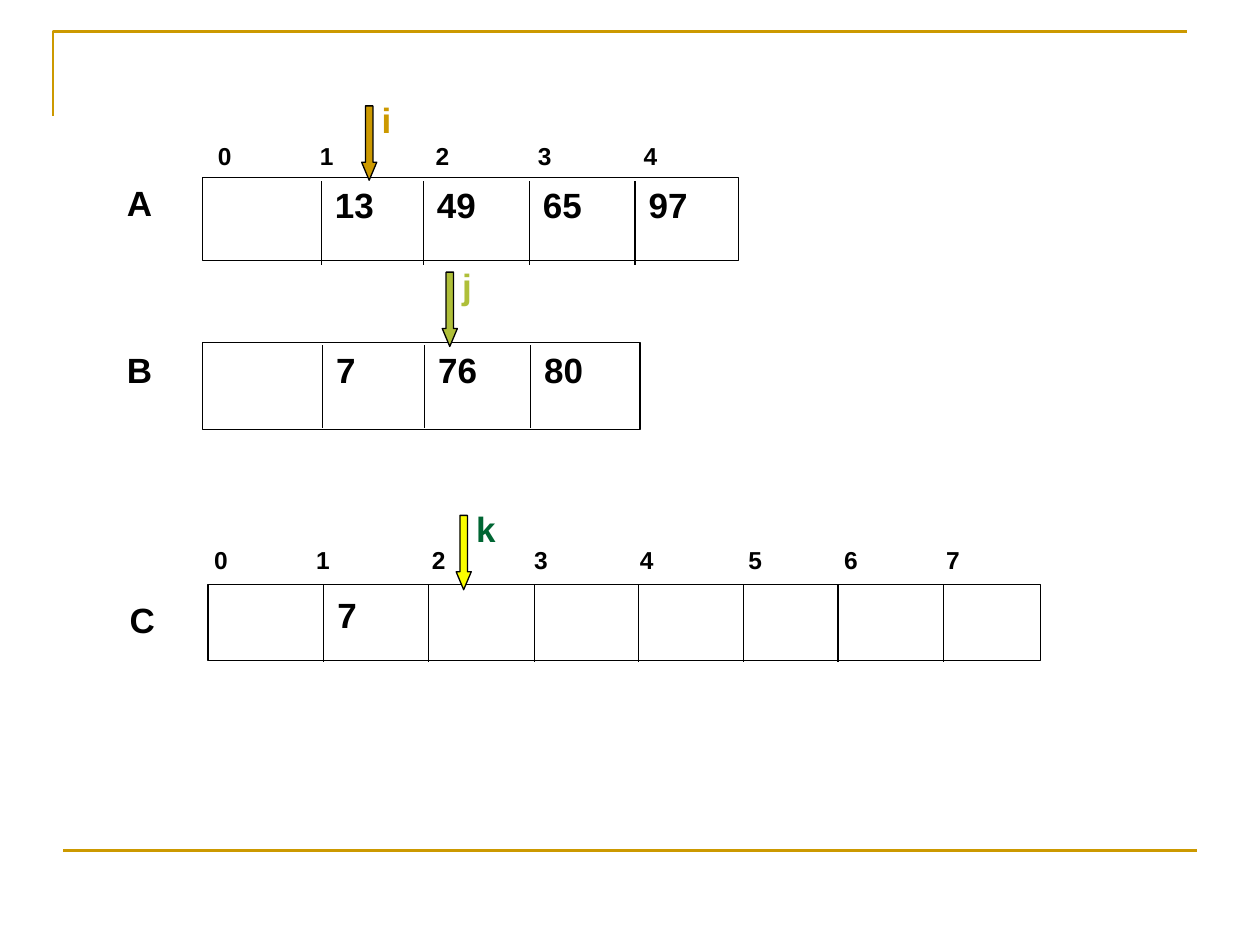
from dataclasses import dataclass

from lxml.etree import SubElement
from pptx import Presentation
from pptx.dml.color import RGBColor
from pptx.enum.shapes import MSO_CONNECTOR, MSO_SHAPE
from pptx.enum.text import MSO_AUTO_SIZE, PP_ALIGN
from pptx.oxml.ns import qn
from pptx.util import Inches, Pt


@dataclass(frozen=True)
class Theme:
    font: str = "Arial"
    ink: str = "000000"
    paper: str = "FFFFFF"
    gold: str = "CC9900"
    olive: str = "AFBF39"
    yellow: str = "FAFD00"
    green: str = "006633"
    label_size: float = 20
    index_size: float = 14
    cell_line: float = 0.75
    frame_line: float = 1.5


THEME = Theme()
ARRAYS = [
    dict(name="A", name_at=(0.91, 1.39), box=(1.61, 1.41, 4.25, 0.66),
         dividers=[2.55, 3.36, 4.2, 5.04], divider_span=(1.44, 2.1),
         values=["13", "49", "65", "97"], value_top=1.41,
         index_at=(1.63, 1.07), index_count=5),
    dict(name="B", name_at=(0.91, 2.72), box=(1.61, 2.72, 3.47, 0.69),
         dividers=[2.56, 3.37, 4.21], divider_span=(2.74, 3.4),
         values=["7", "76", "80"], value_top=2.72,
         index_at=None, index_count=0),
    dict(name="C", name_at=(0.93, 4.7), box=(1.65, 4.64, 6.61, 0.6),
         dividers=[2.57, 3.4, 4.24, 5.07, 5.9, 6.65, 7.49], divider_span=(4.64, 5.25),
         values=["7"], value_top=4.66,
         index_at=(1.6, 4.28), index_count=8),
]
POINTERS = [
    ("i", 2.87, 0.84, THEME.gold, THEME.gold),
    ("j", 3.51, 2.16, THEME.olive, THEME.olive),
    ("k", 3.62, 4.09, THEME.yellow, THEME.green),
]
INDEX_TABS = [0.81, 1.73, 2.54, 3.38, 4.24, 5.0, 5.81]
FRAME_CORNER = [(0.42, 0.92), (0.42, 0.25), (9.42, 0.25)]
FOOT_RULE = (0.5, 6.75, 9.5, 6.75)


def set_line(shape, color, width):
    shape.line.color.rgb = RGBColor.from_string(color)
    shape.line.width = Pt(width)


def add_line(shapes, ends, color, width):
    line = shapes.add_connector(MSO_CONNECTOR.STRAIGHT, *map(Inches, ends))
    set_line(line, color, width)
    SubElement(line.element.spPr, qn("a:effectLst"))


def add_filled(shapes, kind, place, color):
    shape = shapes.add_shape(kind, *map(Inches, place))
    shape.shadow.inherit = False
    shape.fill.solid()
    shape.fill.fore_color.rgb = RGBColor.from_string(color)
    set_line(shape, THEME.ink, THEME.cell_line)
    return shape


def add_text(shapes, text, place, color=THEME.ink, size=THEME.label_size, tabs=()):
    frame = shapes.add_textbox(*map(Inches, place)).text_frame
    frame.word_wrap = True
    frame.auto_size = MSO_AUTO_SIZE.SHAPE_TO_FIT_TEXT
    para = frame.paragraphs[0]
    para.text = text
    para.alignment = PP_ALIGN.LEFT
    if tabs:
        stops = SubElement(para._p.get_or_add_pPr(), qn("a:tabLst"))
        for stop in tabs:
            SubElement(stops, qn("a:tab"), pos=str(Inches(stop)), algn="l")
    para.font.name = THEME.font
    para.font.size = Pt(size)
    para.font.bold = True
    para.font.color.rgb = RGBColor.from_string(color)


def add_frame(shapes):
    start, *rest = [tuple(map(Inches, point)) for point in FRAME_CORNER]
    builder = shapes.build_freeform(*start)
    builder.add_line_segments(rest, close=False)
    corner = builder.convert_to_shape()
    corner.shadow.inherit = False
    corner.fill.background()
    set_line(corner, THEME.gold, THEME.frame_line)
    add_line(shapes, FOOT_RULE, THEME.gold, THEME.frame_line)


def add_array(shapes, array):
    add_filled(shapes, MSO_SHAPE.RECTANGLE, array["box"], THEME.paper)
    top, bottom = array["divider_span"]
    for x in array["dividers"]:
        add_line(shapes, (x, top, x, bottom), THEME.ink, THEME.cell_line)
    for x, value in zip(array["dividers"], array["values"]):
        add_text(shapes, value, (x + 0.01, array["value_top"], 0.67, 0.44))
    add_text(shapes, array["name"], (*array["name_at"], 0.67, 0.44))
    count = array["index_count"]
    if count:
        add_text(shapes, "\t".join(map(str, range(count))),
                 (*array["index_at"], array["box"][2], 0.34),
                 size=THEME.index_size, tabs=INDEX_TABS[:count - 1])


def add_pointer(shapes, name, left, top, fill, color):
    group = shapes.add_group_shape().shapes
    arrow = add_filled(group, MSO_SHAPE.DOWN_ARROW, (left, top, 0.12, 0.59), fill)
    arrow.adjustments[0] = 0.5
    arrow.adjustments[1] = 1.19
    add_text(group, name, (left + 0.06, top - 0.11, 0.53, 0.44), color)


def main():
    deck = Presentation()
    deck.slide_width, deck.slide_height = Inches(10), Inches(7.5)
    page = deck.slides.add_slide(deck.slide_layouts[6])
    add_frame(page.shapes)
    for array in ARRAYS:
        add_array(page.shapes, array)
    for pointer in POINTERS:
        add_pointer(page.shapes, *pointer)
    deck.save("out.pptx")


if __name__ == "__main__":
    main()
